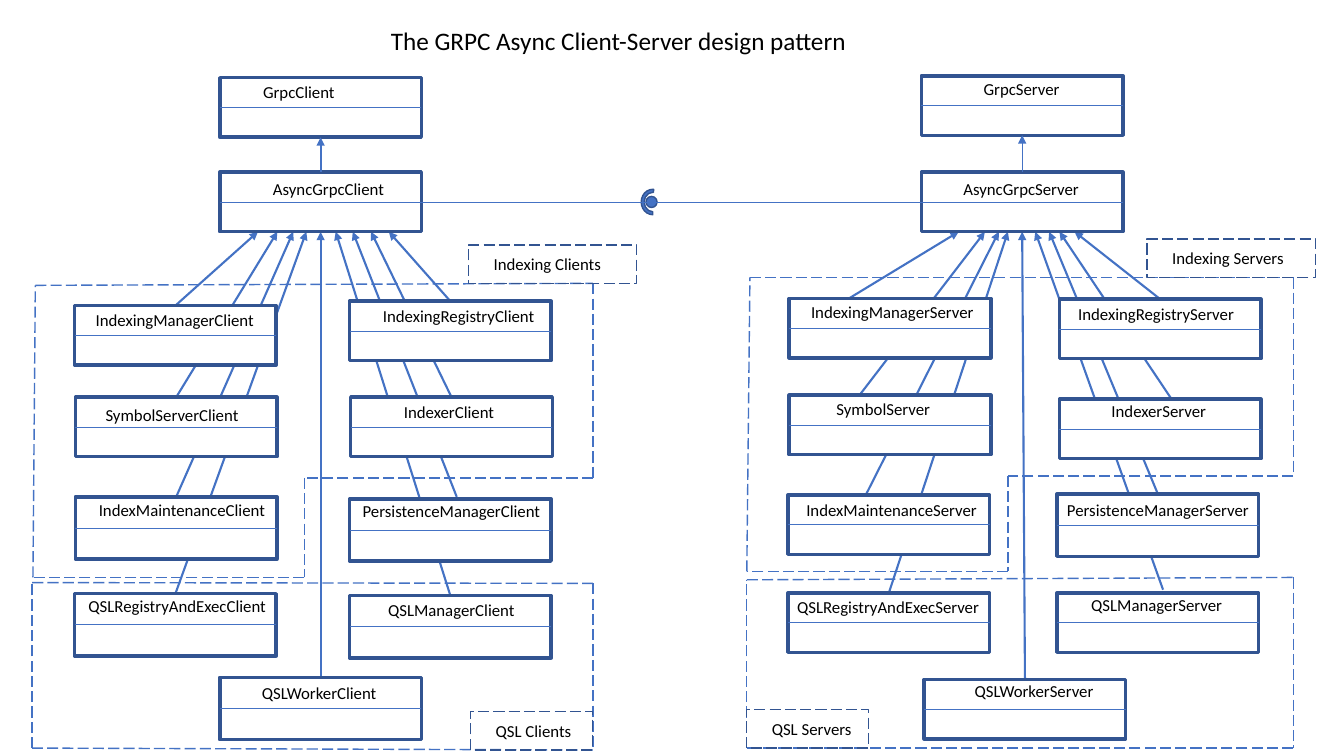
import math

import pptx
import pptx.util
import pptx.dml.color
import pptx.enum.dml
import pptx.enum.shapes
import pptx.enum.text
import pptx.oxml.ns
import lxml.etree

Cm = pptx.util.Cm
Pt = pptx.util.Pt
qn = pptx.oxml.ns.qn
SHAPE = pptx.enum.shapes.MSO_SHAPE

BLUE = pptx.dml.color.RGBColor(0x44, 0x72, 0xC4)
NAVY = pptx.dml.color.RGBColor(0x32, 0x54, 0x91)
WHITE = pptx.dml.color.RGBColor(0xFF, 0xFF, 0xFF)
BLACK = pptx.dml.color.RGBColor(0, 0, 0)

CLASS_WIDTH = 5.08
TEXT_HEIGHT = 0.76
TIP_Y = 5.84
JOIN_DISTANCE = 0.15

TITLE = ("The GRPC Async Client-Server design pattern", 9.6, 0.51, 21.46)

# name: left, top, height, name left, name top, name width, filled
CLASSES = {
    "GrpcClient": (5.54, 1.96, 1.5, 6.38, 1.93, 3.48, True),
    "AsyncGrpcClient": (5.54, 4.34, 1.5, 6.63, 4.37, 3.48, True),
    "IndexingManagerClient": (1.88, 7.7, 1.5, 2.16, 7.67, 4.52, True),
    "SymbolServerClient": (1.9, 10.01, 1.5, 2.41, 10.08, 3.89, True),
    "IndexMaintenanceClient": (1.9, 12.52, 1.57, 2.24, 12.47, 4.75, True),
    "QSLRegistryAndExecClient": (1.88, 14.96, 1.57, 1.98, 14.88, 5.05, False),
    "IndexingRegistryClient": (8.81, 7.59, 1.5, 9.4, 7.57, 4.37, True),
    "IndexerClient": (8.84, 10.01, 1.5, 9.93, 10.01, 2.82, True),
    "PersistenceManagerClient": (8.81, 12.57, 1.57, 8.89, 12.5, 5.66, True),
    "QSLManagerClient": (8.81, 15.01, 1.57, 9.53, 14.99, 3.73, False),
    "QSLWorkerClient": (5.54, 17.07, 1.57, 6.35, 17.07, 3.43, False),
    "GrpcServer": (23.22, 1.91, 1.5, 24.54, 1.85, 3.48, False),
    "AsyncGrpcServer": (23.22, 4.34, 1.5, 24.03, 4.37, 4.5, False),
    "IndexingManagerServer": (19.89, 7.52, 1.5, 20.19, 7.47, 4.65, True),
    "SymbolServer": (19.89, 9.96, 1.5, 20.83, 9.93, 3.12, True),
    "IndexMaintenanceServer": (19.86, 12.47, 1.5, 20.07, 12.47, 5.26, True),
    "QSLRegistryAndExecServer": (19.86, 14.94, 1.5, 19.84, 14.91, 5.41, False),
    "IndexingRegistryServer": (26.7, 7.54, 1.5, 26.92, 7.52, 4.47, True),
    "IndexerServer": (26.7, 10.06, 1.5, 27.76, 9.98, 3.84, True),
    "PersistenceManagerServer": (26.64, 12.45, 1.57, 26.64, 12.47, 5.11, True),
    "QSLManagerServer": (26.64, 14.94, 1.5, 27.25, 14.86, 4.11, False),
    "QSLWorkerServer": (23.29, 17.12, 1.5, 24.31, 17.04, 3.71, False),
}

INHERITANCE = {
    "AsyncGrpcClient": [
        ("IndexingManagerClient", 4.42, 7.67, 6.5),
        ("SymbolServerClient", 4.39, 10.13, 6.99),
        ("IndexMaintenanceClient", 4.47, 12.47, 7.39),
        ("QSLRegistryAndExecClient", 4.55, 15.01, 7.72),
        ("QSLWorkerClient", 8.08, 17.07, 8.08),
        ("QSLManagerClient", 11.35, 15.01, 8.46),
        ("PersistenceManagerClient", 11.51, 12.52, 8.89),
        ("IndexerClient", 11.38, 10.01, 9.35),
        ("IndexingRegistryClient", 11.35, 7.59, 9.8),
    ],
    "AsyncGrpcServer": [
        ("IndexingManagerServer", 21.23, 7.62, 24.16),
        ("SymbolServer", 21.29, 10.44, 24.82),
        ("IndexMaintenanceServer", 21.82, 12.47, 25.17),
        ("QSLRegistryAndExecServer", 22.4, 14.94, 25.4),
        ("QSLWorkerServer", 25.83, 17.12, 25.76),
        ("QSLManagerServer", 29.31, 14.86, 26.09),
        ("PersistenceManagerServer", 29.18, 12.45, 26.44),
        ("IndexerServer", 29.54, 10.08, 26.7),
        ("IndexingRegistryServer", 29.24, 7.54, 27.08),
    ],
}

BASE_LINKS = [("AsyncGrpcClient", "GrpcClient", 1.5), ("AsyncGrpcServer", "GrpcServer", 0.5)]

REGIONS = [
    [(0.89, 7.19), (14.94, 7.14), (14.94, 12.04), (7.67, 12.04), (7.67, 14.55), (0.83, 14.55)],
    [(0.81, 14.68), (14.94, 14.7), (14.94, 18.9), (0.81, 18.85)],
    [(18.9, 6.99), (32.59, 6.99), (32.59, 11.99), (25.4, 11.99), (25.4, 14.4), (18.82, 14.4)],
    [(18.82, 14.61), (32.59, 14.55), (32.59, 18.85), (18.82, 18.85)],
]

REGION_LABELS = [
    ("Indexing Clients", 11.81, 6.17, 4.24, 3.25),
    ("QSL Clients", 11.86, 17.93, 3.07, 2.44),
    ("Indexing Servers", 28.91, 6.02, 4.24, 3.35),
    ("QSL Servers", 18.82, 17.88, 3.07, 2.54),
]


def add_line(slide, start, end, width, arrow=False, dashed=False):
    line = slide.shapes.add_connector(
        pptx.enum.shapes.MSO_CONNECTOR.STRAIGHT, *map(Cm, (*start, *end)))
    line.line.color.rgb = BLUE
    line.line.width = Pt(width)
    if dashed:
        line.line.dash_style = pptx.enum.dml.MSO_LINE.LONG_DASH
    if arrow:
        lxml.etree.SubElement(line.line._get_or_add_ln(), qn("a:tailEnd"), type="triangle")
    lxml.etree.SubElement(line.element.spPr, qn("a:effectLst"))
    return line


def add_outline(shapes, kind, left, top, width, height, weight, fill=None):
    outline = shapes.add_shape(kind, Cm(left), Cm(top), Cm(width), Cm(height))
    outline.shadow.inherit = False
    if fill is None:
        outline.fill.background()
    else:
        outline.fill.solid()
        outline.fill.fore_color.rgb = fill
    outline.line.color.rgb = NAVY
    outline.line.width = Pt(weight)
    return outline


def add_text(slide, words, left, top, width, size=12, height=TEXT_HEIGHT, wrap=True):
    frame = slide.shapes.add_textbox(Cm(left), Cm(top), Cm(width), Cm(height)).text_frame
    frame.word_wrap = wrap
    frame.auto_size = pptx.enum.text.MSO_AUTO_SIZE.SHAPE_TO_FIT_TEXT
    frame.text = words
    font = frame.paragraphs[0].runs[0].font
    font.name = "Calibri"
    font.size = Pt(size)
    font.color.rgb = BLACK


def add_class(slide, name):
    left, top, height, name_left, name_top, name_width, filled = CLASSES[name]
    box = add_outline(slide.shapes, SHAPE.RECTANGLE, left, top, CLASS_WIDTH, height, 2.5,
                      WHITE if filled else None)
    middle = top + height / 2
    add_line(slide, (left, middle), (left + CLASS_WIDTH, middle), 0.5)
    add_text(slide, name, name_left, name_top, name_width)
    return box


def top_middle(name):
    left, top = CLASSES[name][:2]
    return left + CLASS_WIDTH / 2, top


def main():
    deck = pptx.Presentation()
    deck.slide_width, deck.slide_height = Cm(33.87), Cm(19.05)
    slide = deck.slides.add_slide(deck.slide_layouts[6])

    arrows = []
    for parent, children in INHERITANCE.items():
        for child, x, y, tip_x in children:
            arrow = add_line(slide, (x, y), (tip_x, TIP_Y), 1.5, arrow=True)
            arrows.append((arrow, child, parent, (x, y), tip_x))

    boxes = {name: add_class(slide, name) for name in CLASSES}

    for arrow, child, parent, start, tip_x in arrows:
        if math.dist(start, top_middle(child)) < JOIN_DISTANCE:
            arrow.begin_connect(boxes[child], 0)
        if abs(tip_x - top_middle(parent)[0]) < 0.01:
            arrow.end_connect(boxes[parent], 2)

    for child, parent, width in BASE_LINKS:
        arrow = add_line(slide, top_middle(child), top_middle(parent), width, arrow=True)
        arrow.begin_connect(boxes[child], 0)
        arrow.end_connect(boxes[parent], 2)

    socket = slide.shapes.add_group_shape().shapes
    add_outline(socket, SHAPE.OVAL, 16.28, 4.95, 0.28, 0.28, 1, BLUE)
    cup = add_outline(socket, SHAPE.BLOCK_ARC, 16.13, 4.8, 0.64, 0.58, 1, BLUE)
    cup.rotation = 270
    for index, value in enumerate((108, 2.54, 0.13)):
        cup.adjustments[index] = value

    channel = add_line(slide, (10.62, 5.09), (23.22, 5.09), 0.5)
    channel.begin_connect(boxes["AsyncGrpcClient"], 3)
    channel.end_connect(boxes["AsyncGrpcServer"], 1)

    for corners in REGIONS:
        for start, end in zip(corners, corners[1:] + corners[:1]):
            add_line(slide, start, end, 1, dashed=True)

    for words, left, top, width, text_width in REGION_LABELS:
        label = add_outline(slide.shapes, SHAPE.RECTANGLE, left, top, width, 0.97, 1)
        label.line.dash_style = pptx.enum.dml.MSO_LINE.LONG_DASH
        add_text(slide, words, left + 0.38, top + 0.1, text_width, wrap=False)

    add_text(slide, *TITLE, size=18, height=1.02)
    deck.save("out.pptx")


if __name__ == "__main__":
    main()
